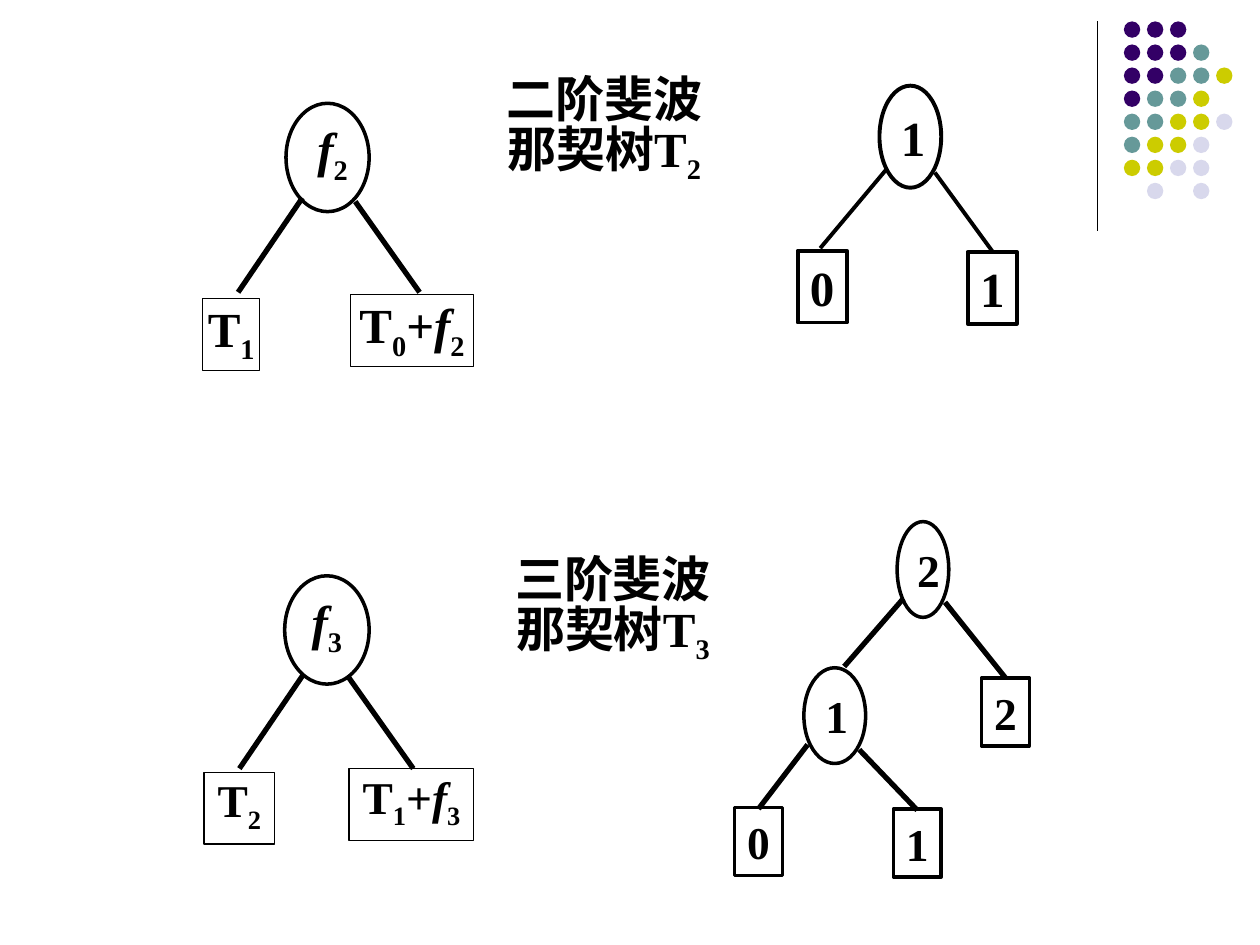
from pptx import Presentation
from pptx.dml.color import RGBColor
from pptx.enum.shapes import MSO_CONNECTOR as Connector, MSO_SHAPE as Shape
from pptx.enum.text import MSO_ANCHOR as Anchor, PP_ALIGN as Align
from pptx.oxml.ns import qn
from pptx.util import Inches, Pt
from lxml import etree

COLORS = {
    "ink": "000000",
    "P": "330066",
    "T": "669999",
    "Y": "CCCC00",
    "L": "D8D8EC",
}


def write(frame, lines, size, insets, anchor, wrap=True):
    frame.word_wrap = wrap
    frame.vertical_anchor = anchor
    frame.margin_left, frame.margin_top, frame.margin_right, frame.margin_bottom = map(Inches, insets)
    frame.text = "\n".join([""] * len(lines))
    for para, line in zip(frame.paragraphs, lines):
        para.alignment = Align.CENTER
        for part in line.split("|"):
            span = para.add_run()
            span.text = part.lstrip("_")
            span.font.name = "Times New Roman"
            span.font.size = Pt(size)
            span.font.bold = True
            span.font.italic = part == "f"
            span.font.color.rgb = RGBColor.from_string(COLORS["ink"])
            if part.startswith("_"):
                span.font._element.set("baseline", "-25000")


def add_line(start, end, width):
    line = page.shapes.add_connector(Connector.STRAIGHT, *map(Inches, start + end))
    line.line.color.rgb = RGBColor.from_string(COLORS["ink"])
    line.line.width = Pt(width)
    etree.SubElement(line._element.spPr, qn("a:effectLst"))


deck = Presentation()
deck.slide_width, deck.slide_height = Inches(10), Inches(7.5)
page = deck.slides.add_slide(deck.slide_layouts[6])

add_line((8.71, 0.17), (8.71, 1.83), 0.74)
dot_rows = ["PPP", "PPPT", "PPTTY", "PTTY", "TTYYL", "TYYL", "YYLL", " L L"]
for row, dots in enumerate(dot_rows):
    for column, key in enumerate(dots):
        if key == " ":
            continue
        dot = page.shapes.add_shape(
            Shape.OVAL, Inches(8.92 + column * 0.183), Inches(0.17 + row * 0.183),
            Inches(0.13), Inches(0.13))
        dot.shadow.inherit = False
        dot.fill.solid()
        dot.fill.fore_color.rgb = RGBColor.from_string(COLORS[key])
        dot.line.fill.background()

normal = (0.1, 0.05, 0.1, 0.05)
tight = (0, 0, 0, 0.04)
loose = (0, 0, 0, 0.08)
shifted = (0.08, 0, 0, 0.08)
nodes = [
    (Shape.OVAL, (2.27, 0.82, 0.66, 0.86), "f|_2", 28, 2, shifted, Anchor.MIDDLE),
    (Shape.RECTANGLE, (1.61, 2.37, 0.45, 0.57), "T|_1", 28, 0.74, tight, Anchor.TOP),
    (Shape.RECTANGLE, (2.78, 2.34, 0.98, 0.57), "T|_0|+|f|_2", 28, 0.74, tight, Anchor.TOP),
    (Shape.OVAL, (6.98, 0.68, 0.49, 0.81), "1", 28, 2.24, normal, Anchor.MIDDLE),
    (Shape.RECTANGLE, (6.33, 1.99, 0.39, 0.57), "0", 28, 2.24, normal, Anchor.MIDDLE),
    (Shape.RECTANGLE, (7.68, 2, 0.39, 0.57), "1", 28, 2.24, normal, Anchor.MIDDLE),
    (Shape.OVAL, (2.26, 4.57, 0.67, 0.86), "f|_3", 28, 2, loose, Anchor.MIDDLE),
    (Shape.RECTANGLE, (1.62, 6.13, 0.56, 0.57), "T|_2", 26, 0.74, loose, Anchor.TOP),
    (Shape.RECTANGLE, (2.77, 6.1, 0.99, 0.57), "T|_1|+|f|_3", 26, 0.74, loose, Anchor.TOP),
    (Shape.OVAL, (7.12, 4.14, 0.41, 0.76), "2", 26, 2, normal, Anchor.MIDDLE),
    (Shape.OVAL, (6.38, 5.3, 0.49, 0.76), "1", 26, 2, normal, Anchor.MIDDLE),
    (Shape.RECTANGLE, (5.83, 6.41, 0.38, 0.54), "0", 26, 2, normal, Anchor.MIDDLE),
    (Shape.RECTANGLE, (7.09, 6.42, 0.38, 0.54), "1", 26, 2, normal, Anchor.MIDDLE),
    (Shape.RECTANGLE, (7.79, 5.38, 0.38, 0.54), "2", 26, 2, normal, Anchor.MIDDLE),
]
for kind, place, label, size, width, insets, anchor in nodes:
    node = page.shapes.add_shape(kind, *map(Inches, place))
    node.shadow.inherit = False
    node.fill.background()
    node.line.color.rgb = RGBColor.from_string(COLORS["ink"])
    node.line.width = Pt(width)
    is_leaf = kind == Shape.RECTANGLE
    write(node.text_frame, [label], size, insets, anchor, wrap=not is_leaf)

branches = [
    ((2.4, 1.57), (1.89, 2.32), 3),
    ((2.82, 1.6), (3.33, 2.32), 3),
    ((7.03, 1.35), (6.51, 1.97), 2.24),
    ((7.42, 1.37), (7.88, 2), 2.24),
    ((2.41, 5.35), (1.9, 6.1), 3),
    ((2.77, 5.38), (3.28, 6.1), 3),
    ((7.17, 4.75), (6.7, 5.29), 3),
    ((7.5, 4.78), (7.98, 5.38), 3),
    ((6.41, 5.91), (6.02, 6.42), 3),
    ((6.82, 5.95), (7.28, 6.43), 3),
]
for start, end, width in branches:
    add_line(start, end, width)

captions = [
    (3.84, 0.5, ["二阶斐波", "那契树T|_2"]),
    (3.91, 4.31, ["三阶斐波", "那契树T|_3"]),
]
for left, top, lines in captions:
    box = page.shapes.add_textbox(Inches(left), Inches(top), Inches(1.91), Inches(1.05))
    write(box.text_frame, lines, 28, (0.1, 0.05, 0.1, 0.08), Anchor.MIDDLE)
    for para in box.text_frame.paragraphs:
        para.line_spacing = Pt(33)

deck.save("out.pptx")
